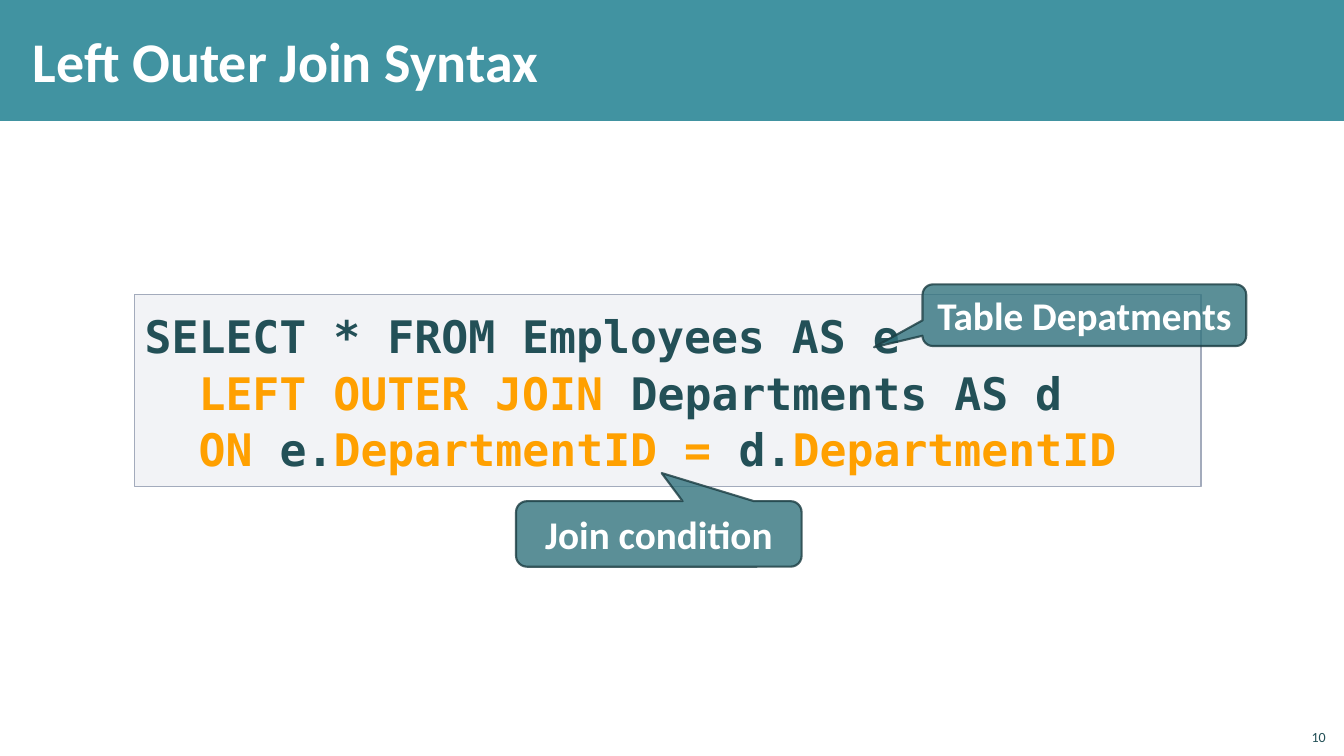
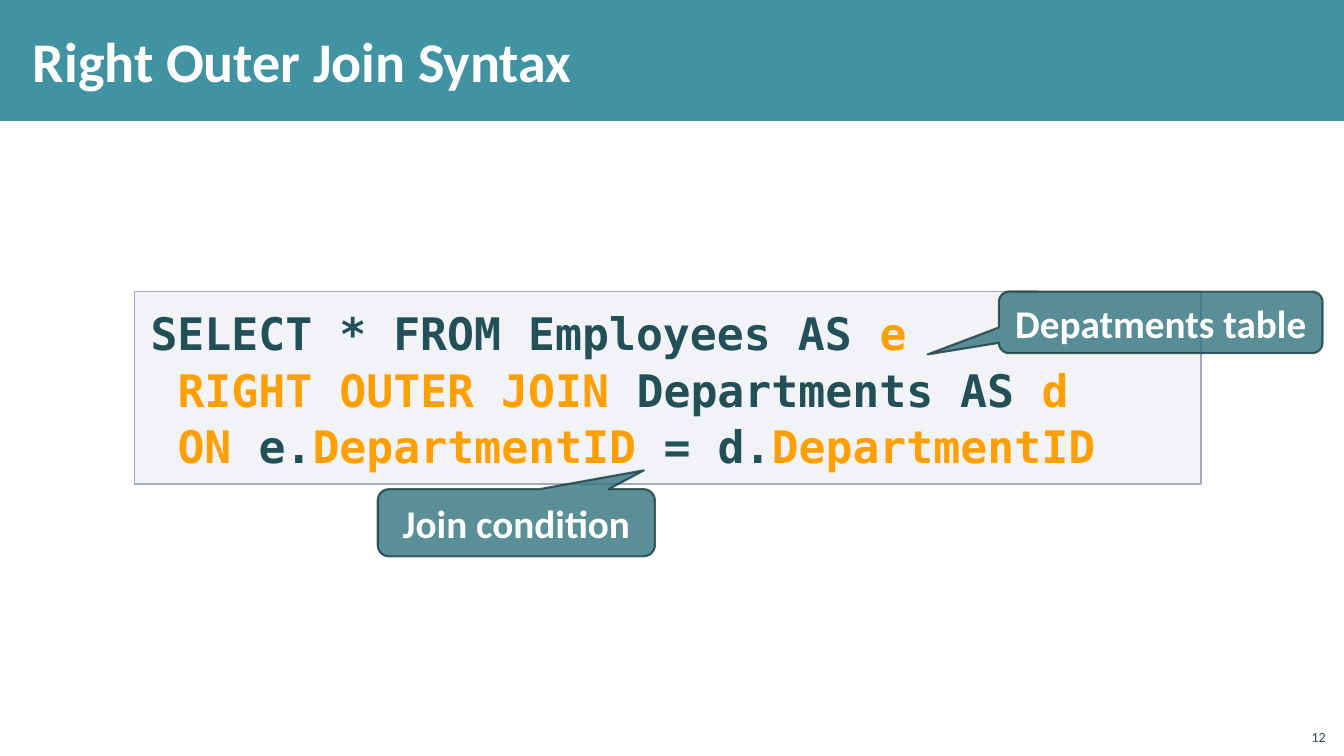
"""Build two slides on the syntax of SQL outer joins."""
from lxml import etree
from pptx import Presentation
from pptx.dml.color import RGBColor
from pptx.enum.shapes import MSO_SHAPE
from pptx.enum.text import MSO_ANCHOR, PP_ALIGN
from pptx.oxml.ns import qn
from pptx.util import Pt

RECT, CALLOUT = MSO_SHAPE.RECTANGLE, MSO_SHAPE.ROUNDED_RECTANGULAR_CALLOUT
TOP, MIDDLE, BOTTOM = MSO_ANCHOR.TOP, MSO_ANCHOR.MIDDLE, MSO_ANCHOR.BOTTOM
LEFT, CENTER, RIGHT = PP_ALIGN.LEFT, PP_ALIGN.CENTER, PP_ALIGN.RIGHT

WIDTH, HEIGHT = 960, 540
SANS, MONO = "Calibri", "DejaVu Sans Mono"
CODE_SIZE = 32
CHAR = CODE_SIZE * 0.602
COLORS = {
    "band": "4193A1", "white": "FFFFFF", "text": "235057", "accent": "FFA000",
    "code": "C2C7D2", "border": "A3ABBC", "note": "32737E", "edge": "1A3C41",
}

# Text between bars is drawn in the accent colour.
SLIDES = [
    {
        "title": "Left Outer Join Syntax", "number": "10",
        "top": 210.2, "pads": (7.2, 8.5, 0, 8.5), "indent": 2,
        "code": ["SELECT * FROM Employees AS e",
                 "|LEFT OUTER JOIN |Departments AS d",
                 "|ON |e.|DepartmentID = |d.|DepartmentID|"],
        "notes": [("Table Depatments", (659, 203.2, 231.2, 44), (-0.65, 0.52)),
                  ("Join condition", (368.6, 358, 204, 46.8), (0.01, -0.93))],
    },
    {
        "title": "Right Outer Join Syntax", "number": "12",
        "top": 208.3, "pads": (11.3, 8.5, 11.3, 8.5), "indent": 1,
        "code": ["SELECT * FROM Employees AS |e|",
                 "|RIGHT OUTER JOIN |Departments AS |d|",
                 "|ON |e.|DepartmentID |= d.|DepartmentID|"],
        "notes": [("Depatments table", (713.5, 208.3, 231.2, 44), (-0.72, 0.52)),
                  ("Join condition", (269.8, 349.4, 198, 48), (0.46, -0.78))],
    },
]


def rgb(name):
    return RGBColor.from_string(COLORS[name])


def fade(format, share):
    for color in format.iter(qn("a:srgbClr")):
        etree.SubElement(color, qn("a:alpha"), val=str(share * 1000))


def write(frame, lines, size, font=SANS, color="white", bold=True, align=LEFT,
          anchor=MIDDLE, pads=(7.2, 3.6, 7.2, 3.6), spacing=None, indent=0, wrap=True):
    frame.word_wrap, frame.vertical_anchor = wrap, anchor
    (frame.margin_left, frame.margin_top,
     frame.margin_right, frame.margin_bottom) = map(Pt, pads)
    for row, line in enumerate(lines):
        para = frame.add_paragraph() if row else frame.paragraphs[0]
        para.alignment = align
        if spacing:
            para.line_spacing = spacing
        if row and indent:
            para._p.get_or_add_pPr().set("marL", str(int(Pt(indent))))
        for part, text in enumerate(line.split("|")):
            if text:
                run = para.add_run()
                run.text = text
                run.font.name, run.font.size, run.font.bold = font, Pt(size), bold
                run.font.color.rgb = rgb("accent" if part % 2 else color)


def add_box(slide, kind, place, fill, line=None, weight=1):
    box = slide.shapes.add_shape(kind, *map(Pt, place))
    box.shadow.inherit = False
    box.fill.solid()
    box.fill.fore_color.rgb = rgb(fill)
    if line:
        box.line.color.rgb = rgb(line)
        box.line.width = Pt(weight)
    else:
        box.line.fill.background()
    return box


def add_band(slide):
    band = add_box(slide, RECT, (0, 0, WIDTH, 86.4), "band").element
    band.nvSpPr.cNvPr.set("id", "99")
    slide.slide_layout.shapes.element.insert(2, band)


def add_title(slide, text):
    title = slide.shapes.title
    title.left, title.top, title.width, title.height = map(Pt, (15, 8, 771, 70))
    write(title.text_frame, [text], 40, pads=(8.5, 2.8, 8.5, 2.8))


def add_code(slide, data):
    box = add_box(slide, RECT, (96.2, data["top"], 761.8, 137.5), "code", "border")
    fade(box.element.spPr.find(qn("a:solidFill")), 20)
    write(box.text_frame, data["code"], CODE_SIZE, font=MONO, color="text", anchor=TOP,
          pads=data["pads"], spacing=1.05, indent=data["indent"] * CHAR)


def add_note(slide, text, place, tip):
    note = add_box(slide, CALLOUT, place, "note", "edge", 1.5)
    note.adjustments[0], note.adjustments[1] = tip
    fade(note.element.spPr, 80)
    write(note.text_frame, [text], 28, align=CENTER, wrap=False)


def add_number(slide, text):
    box = slide.shapes.add_textbox(*map(Pt, (925.2, 512.6, 28.8, 23)))
    write(box.text_frame, [text], 10, color="text", bold=False, align=RIGHT, anchor=BOTTOM)


def main():
    deck = Presentation()
    deck.slide_width, deck.slide_height = Pt(WIDTH), Pt(HEIGHT)
    layout = deck.slide_layouts.get_by_name("Title Only")
    for index, data in enumerate(SLIDES):
        slide = deck.slides.add_slide(layout)
        if not index:
            add_band(slide)
        add_code(slide, data)
        add_title(slide, data["title"])
        for note in data["notes"]:
            add_note(slide, *note)
        add_number(slide, data["number"])
    deck.save("out.pptx")


if __name__ == "__main__":
    main()
